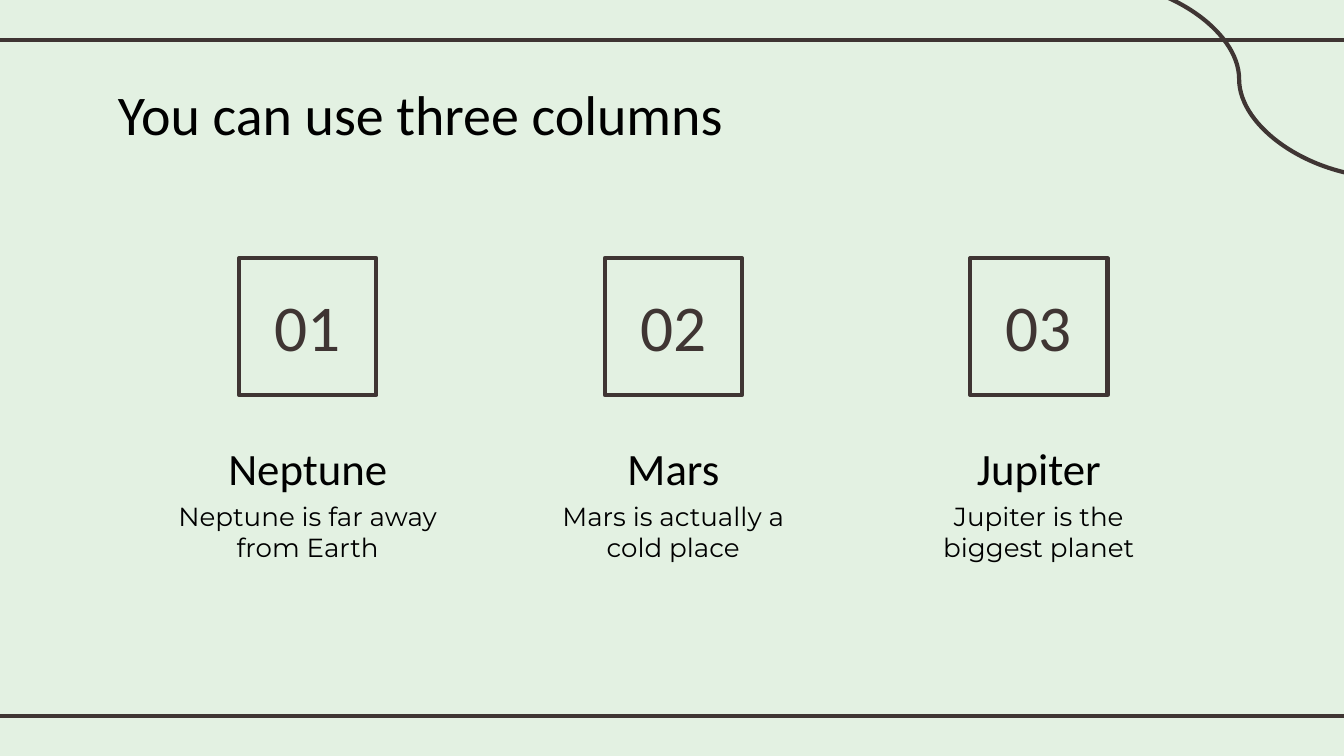
import pptx
import pptx.dml.color
import pptx.enum.shapes
import pptx.enum.text
import pptx.oxml
import pptx.util

Inches = pptx.util.Inches
Pt = pptx.util.Pt
RGB = pptx.dml.color.RGBColor
Link = pptx.enum.shapes.MSO_CONNECTOR
Align = pptx.enum.text.PP_ALIGN
Anchor = pptx.enum.text.MSO_ANCHOR

MINT = RGB(0xE3, 0xF1, 0xE2)
BROWN = RGB(0x3F, 0x35, 0x33)
BLACK = RGB(0, 0, 0)
HEAD, BODY = "Calibri", "Montserrat"

TITLE = "You can use three columns"
PLANETS = [
    ("01", "Neptune", "Neptune is far away from Earth"),
    ("02", "Mars", "Mars is actually a cold place"),
    ("03", "Jupiter", "Jupiter is the biggest planet"),
]
LINES = [
    (Link.STRAIGHT, -0.08, 0.3, 10.08, 0.3),
    (Link.STRAIGHT, -0.08, 5.33, 10.08, 5.33),
    (Link.CURVE, 8.13, -0.14, 10.31, 1.32),
]
PAGE = 10  # slide width; the height follows from 16:9
FIRST, STEP = 2.29, 2.72  # centre of the first column, distance to the next
WIDE, SIDE, LABEL = 2.2, 1.02, 1.11


def stroke(line):
    line.color.rgb = BROWN
    line.width = Pt(2.25)


def draw_line(slide, kind, *ends):
    line = slide.shapes.add_connector(kind, *[Inches(v) for v in ends])
    stroke(line.line)
    line._element.spPr.append(pptx.oxml.parse_xml(
        '<a:effectLst xmlns:a="http://schemas.openxmlformats.org/drawingml/2006/main"/>'))


def write(shapes, text, area, size, font=HEAD, color=BLACK,
          align=Align.CENTER, anchor=Anchor.TOP):
    frame = shapes.add_textbox(*[Inches(v) for v in area]).text_frame
    frame.word_wrap = True
    frame.vertical_anchor = anchor
    frame.margin_left = frame.margin_right = Inches(0.1)
    frame.margin_top = frame.margin_bottom = Inches(0.1)
    para = frame.paragraphs[0]
    para.alignment = align
    run = para.add_run()
    run.text = text
    run.font.name = font
    run.font.size = Pt(size)
    run.font.color.rgb = color


def draw_badge(slide, number, mid):
    """Draw a framed number as one group."""
    shapes = slide.shapes.add_group_shape().shapes
    box = shapes.add_shape(
        pptx.enum.shapes.MSO_SHAPE.RECTANGLE,
        Inches(mid - SIDE / 2), Inches(1.92), Inches(SIDE), Inches(SIDE))
    box.shadow.inherit = False
    box.fill.solid()
    box.fill.fore_color.rgb = MINT
    stroke(box.line)
    write(shapes, number, (mid - LABEL / 2, 2.06, LABEL, 0.73), 35,
          color=BROWN, anchor=Anchor.MIDDLE)


def main():
    deck = pptx.Presentation()
    deck.slide_width, deck.slide_height = Inches(PAGE), Inches(PAGE * 9 / 16)
    slide = deck.slides.add_slide(deck.slide_layouts[6])
    slide.background.fill.solid()
    slide.background.fill.fore_color.rgb = MINT

    for line in LINES:
        draw_line(slide, *line)
    write(slide.shapes, TITLE, (0.78, 0.49, 6.03, 0.63), 30, align=Align.LEFT)
    for i, (number, name, fact) in enumerate(PLANETS):
        mid = FIRST + i * STEP
        left = mid - WIDE / 2
        draw_badge(slide, number, mid)
        write(slide.shapes, name, (left, 3.18, WIDE, 0.54), 24)
        write(slide.shapes, fact, (left, 3.62, WIDE, 0.63), 14, BODY)
    deck.save("out.pptx")


if __name__ == "__main__":
    main()
